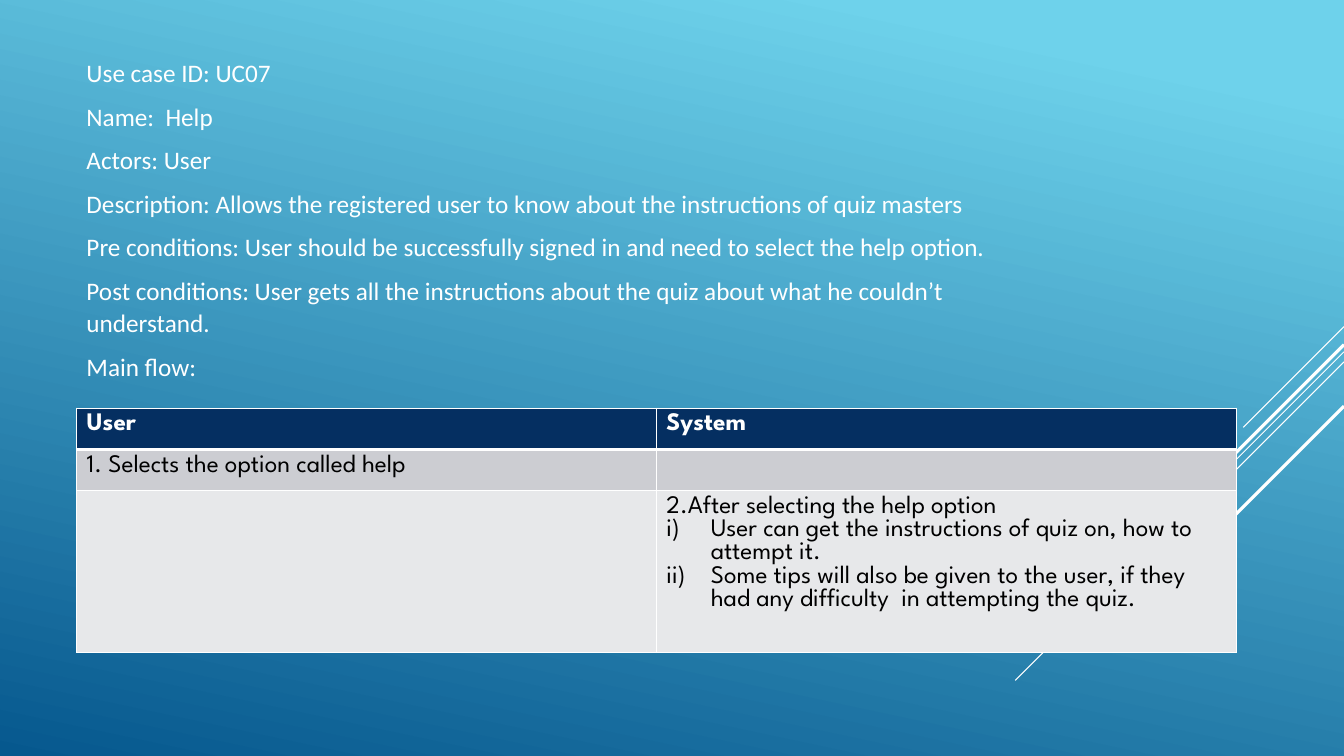
from lxml import etree
from pptx import Presentation
from pptx.dml.color import RGBColor
from pptx.enum.shapes import MSO_CONNECTOR
from pptx.enum.text import MSO_AUTO_SIZE
from pptx.oxml.ns import qn
from pptx.util import Inches, Pt

WHITE = RGBColor(0xFF, 0xFF, 0xFF)
BLACK = RGBColor(0x00, 0x00, 0x00)
SKY = RGBColor(0x6E, 0xD2, 0xEB)
OCEAN = RGBColor(0x06, 0x58, 0x8E)
NAVY = RGBColor(0x05, 0x2F, 0x61)
GREY = RGBColor(0xCC, 0xCD, 0xD2)
PALE = RGBColor(0xE7, 0xE8, 0xEA)

WIDTH, HEIGHT = 13.33, 7.5
LEFT = 0.76
COLUMN = 5.75
ROWS = [0.41, 0.41, 1.6]


def style_text(para, text, formats):
    span = para.add_run()
    span.text = text
    for name, value in formats.items():
        if name == "color":
            span.font.color.rgb = value
        else:
            setattr(span.font, name, value)


def add_border(cell, side, points):
    line = etree.SubElement(cell._tc.get_or_add_tcPr(), qn(f"a:{side}"), w=str(Pt(points)))
    fill = etree.SubElement(line, qn("a:solidFill"))
    etree.SubElement(fill, qn("a:srgbClr"), val=str(WHITE))


deck = Presentation()
deck.slide_width, deck.slide_height = Inches(WIDTH), Inches(HEIGHT)
page = deck.slides.add_slide(deck.slide_layouts[6])

backdrop = page.background.fill
backdrop.gradient()
backdrop.gradient_angle = 360 - 102
for stop, position, color in zip(backdrop.gradient_stops, (0.1, 1), (SKY, OCEAN)):
    stop.position = position
    stop.color.rgb = color

diagonals = [(3.24, 1, 0.75), (3.49, 3.26, 0.75), (3.59, 2.07, 0.75), (3.42, 1.91, 2.25), (4.03, 1.39, 2.25)]
for top, run, points in diagonals:
    diagonal = page.shapes.add_connector(
        MSO_CONNECTOR.STRAIGHT, Inches(WIDTH), Inches(top), Inches(WIDTH - run), Inches(top + run))
    diagonal.line.color.rgb = WHITE
    diagonal.line.width = Pt(points)
    etree.SubElement(diagonal._element.spPr, qn("a:effectLst"))

details = [
    "Use case ID: UC07",
    "Name:  Help",
    "Actors: User",
    "Description: Allows the registered user to know about the instructions of quiz masters",
    "Pre conditions: User should be successfully signed in and need to select the help option.",
    "Post conditions: User gets all the instructions about the quiz about what he couldn’t understand.",
    "Main flow:",
]
box = page.shapes.add_textbox(Inches(LEFT), Inches(0.5), Inches(9.66), Inches(3.35))
frame = box.text_frame
frame.word_wrap = True
frame.auto_size = MSO_AUTO_SIZE.SHAPE_TO_FIT_TEXT
for index, detail in enumerate(details):
    para = frame.add_paragraph() if index else frame.paragraphs[0]
    para.line_spacing = 1.07
    para.space_after = Pt(8)
    style_text(para, detail, {"size": Pt(18), "name": "Calibri", "color": WHITE})

flow = [
    [["User"], ["System"]],
    [["1. Selects the option called help"], []],
    [[], [
        "2.After selecting the help option",
        "User can get the instructions of quiz on, how to attempt it.",
        "Some tips will also be given to the user, if they had any difficulty  in attempting the quiz.",
    ]],
]
table = page.shapes.add_table(
    len(ROWS), 2, Inches(LEFT), Inches(4.05), Inches(2 * COLUMN), Inches(sum(ROWS))).table
table.horz_banding = False
for column in table.columns:
    column.width = Inches(COLUMN)
for row, (height, fill, texts) in enumerate(zip(ROWS, (NAVY, GREY, PALE), flow)):
    table.rows[row].height = Inches(height)
    formats = {"size": Pt(18), "name": "League Spartan", "bold": row == 0, "color": BLACK if row else WHITE}
    for column, lines in enumerate(texts):
        cell = table.cell(row, column)
        borders = {"lnL": 1, "lnR": 1, "lnT": 3 if row == 1 else 1, "lnB": 1 if row else 3}
        for side, points in borders.items():
            add_border(cell, side, points)
        cell.fill.solid()
        cell.fill.fore_color.rgb = fill
        for index, text in enumerate(lines):
            para = cell.text_frame.add_paragraph() if index else cell.text_frame.paragraphs[0]
            if index:
                properties = para._p.get_or_add_pPr()
                properties.set("marL", str(Inches(0.44)))
                properties.set("indent", str(-Inches(0.44)))
                etree.SubElement(properties, qn("a:buFont"), typeface="+mj-lt")
                etree.SubElement(properties, qn("a:buAutoNum"), type="romanLcParenR")
            style_text(para, text, formats)

deck.save("out.pptx")
